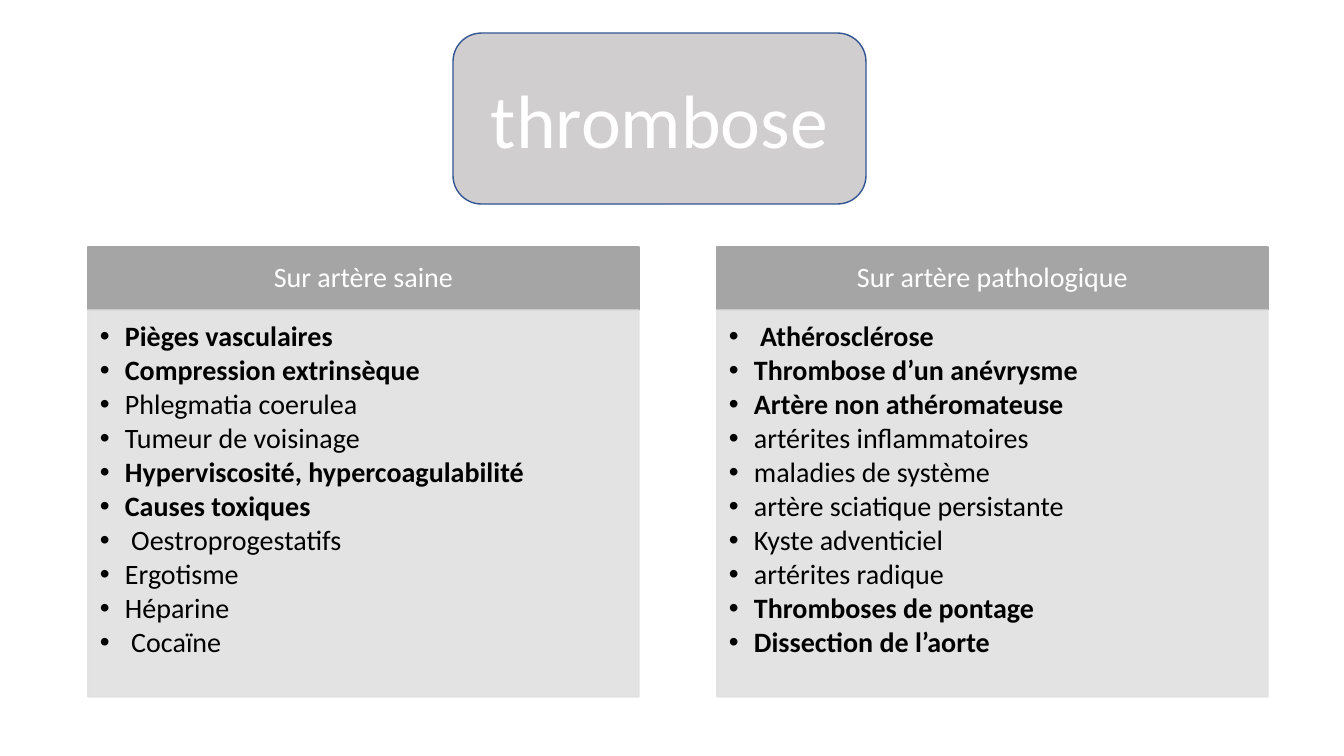
from lxml.etree import SubElement
from pptx import Presentation
from pptx.dml.color import RGBColor
from pptx.enum.shapes import MSO_SHAPE
from pptx.enum.text import MSO_ANCHOR, MSO_AUTO_SIZE, PP_ALIGN
from pptx.oxml.ns import qn
from pptx.util import Pt

WHITE = RGBColor(0xFF, 0xFF, 0xFF)
BLACK = RGBColor(0x00, 0x00, 0x00)
HEADER_GRAY = RGBColor(0xA5, 0xA5, 0xA5)
BODY_GRAY = RGBColor(0xE1, 0xE1, 0xE1)
TITLE_GRAY = RGBColor(0xD0, 0xCE, 0xCE)
TITLE_BLUE = RGBColor(0x32, 0x54, 0x91)

COLUMN_LEFT, COLUMN_STEP, COLUMN_WIDTH = 88, 629, 551
HEADER_TOP, HEADER_HEIGHT, BODY_HEIGHT = 247, 63, 387
TITLE_BOX = (453, 33, 413, 171)

COLUMNS = [
    ("Sur artère saine", [
        ("Pièges vasculaires", True),
        ("Compression extrinsèque", True),
        ("Phlegmatia coerulea", False),
        ("Tumeur de voisinage", False),
        ("Hyperviscosité, hypercoagulabilité", True),
        ("Causes toxiques", True),
        (" Oestroprogestatifs", False),
        ("Ergotisme", False),
        ("Héparine", False),
        (" Cocaïne", False),
    ]),
    ("Sur artère pathologique", [
        (" Athérosclérose", True),
        ("Thrombose d’un anévrysme", True),
        ("Artère non athéromateuse", True),
        ("artérites inflammatoires", False),
        ("maladies de système", False),
        ("artère sciatique persistante", False),
        ("Kyste adventiciel", False),
        ("artérites radique", False),
        ("Thromboses de pontage", True),
        ("Dissection de l’aorte", True),
    ]),
]


class SlideBuilder:
    font_name = "Calibri"
    text_size = 20
    title_size = 54
    indent = 25

    def __init__(self, presentation):
        self.slide = presentation.slides.add_slide(presentation.slide_layouts[5])

    @staticmethod
    def px(length):
        return round(length * 914400 / 100.8)

    def panel(self, kind, box, fill, line, opacity=100):
        panel = self.slide.shapes.add_shape(kind, *map(self.px, box))
        panel.shadow.inherit = False
        panel.fill.solid()
        panel.fill.fore_color.rgb = fill
        panel.line.color.rgb = line
        panel.line.width = Pt(1)
        if opacity < 100:
            for color in panel._element.spPr.iter(qn("a:srgbClr")):
                SubElement(color, qn("a:alpha"), val=str(opacity * 1000))
        return panel

    def frame(self, shape, insets, anchor):
        frame = shape.text_frame
        frame.word_wrap = True
        frame.auto_size = MSO_AUTO_SIZE.NONE
        frame.vertical_anchor = anchor
        (frame.margin_left, frame.margin_top,
         frame.margin_right, frame.margin_bottom) = map(self.px, insets)
        return frame

    def style(self, paragraph, size, color, align, bold=False):
        paragraph.alignment = align
        for run in paragraph.runs:
            run.font.name = self.font_name
            run.font.size = Pt(size)
            run.font.color.rgb = color
            run.font.bold = bold

    def title(self, text, box):
        self.panel(MSO_SHAPE.ROUNDED_RECTANGLE, box, TITLE_GRAY, TITLE_BLUE)
        title = self.slide.shapes.title
        title.left, title.top, title.width, title.height = map(self.px, box)
        self.slide.shapes._spTree.append(title._element)
        frame = self.frame(title, (10, 5, 10, 5), MSO_ANCHOR.MIDDLE)
        frame.text = text
        self.style(frame.paragraphs[0], self.title_size, WHITE, PP_ALIGN.CENTER)

    def header(self, text, box):
        header = self.panel(MSO_SHAPE.RECTANGLE, box, HEADER_GRAY, HEADER_GRAY)
        frame = self.frame(header, (16, 9, 16, 9), MSO_ANCHOR.MIDDLE)
        frame.text = text
        frame.paragraphs[0].line_spacing = 0.9
        self.style(frame.paragraphs[0], self.text_size, WHITE, PP_ALIGN.CENTER)

    def causes(self, items, box):
        body = self.panel(MSO_SHAPE.RECTANGLE, box, BODY_GRAY, BODY_GRAY, 90)
        frame = self.frame(body, (12, 12, 16, 17), MSO_ANCHOR.TOP)
        frame.text = "\n".join(text for text, bold in items)
        for paragraph, (text, bold) in zip(frame.paragraphs, items):
            self.bullet(paragraph)
            paragraph.line_spacing = 0.9
            paragraph.space_after = Pt(2.7)
            self.style(paragraph, self.text_size, BLACK, PP_ALIGN.LEFT, bold)

    def bullet(self, paragraph):
        properties = paragraph._p.get_or_add_pPr()
        properties.set("marL", str(self.px(self.indent)))
        properties.set("indent", str(-self.px(self.indent)))
        SubElement(properties, qn("a:buFont"), typeface="Arial")
        SubElement(properties, qn("a:buChar"), char="•")


def main():
    presentation = Presentation()
    presentation.slide_width = SlideBuilder.px(1344)
    presentation.slide_height = SlideBuilder.px(756)
    builder = SlideBuilder(presentation)
    for index, (heading, items) in enumerate(COLUMNS):
        left = COLUMN_LEFT + index * COLUMN_STEP
        builder.header(heading, (left, HEADER_TOP, COLUMN_WIDTH, HEADER_HEIGHT))
        builder.causes(items, (left, HEADER_TOP + HEADER_HEIGHT, COLUMN_WIDTH, BODY_HEIGHT))
    builder.title("thrombose", TITLE_BOX)
    presentation.save("out.pptx")


if __name__ == "__main__":
    main()
